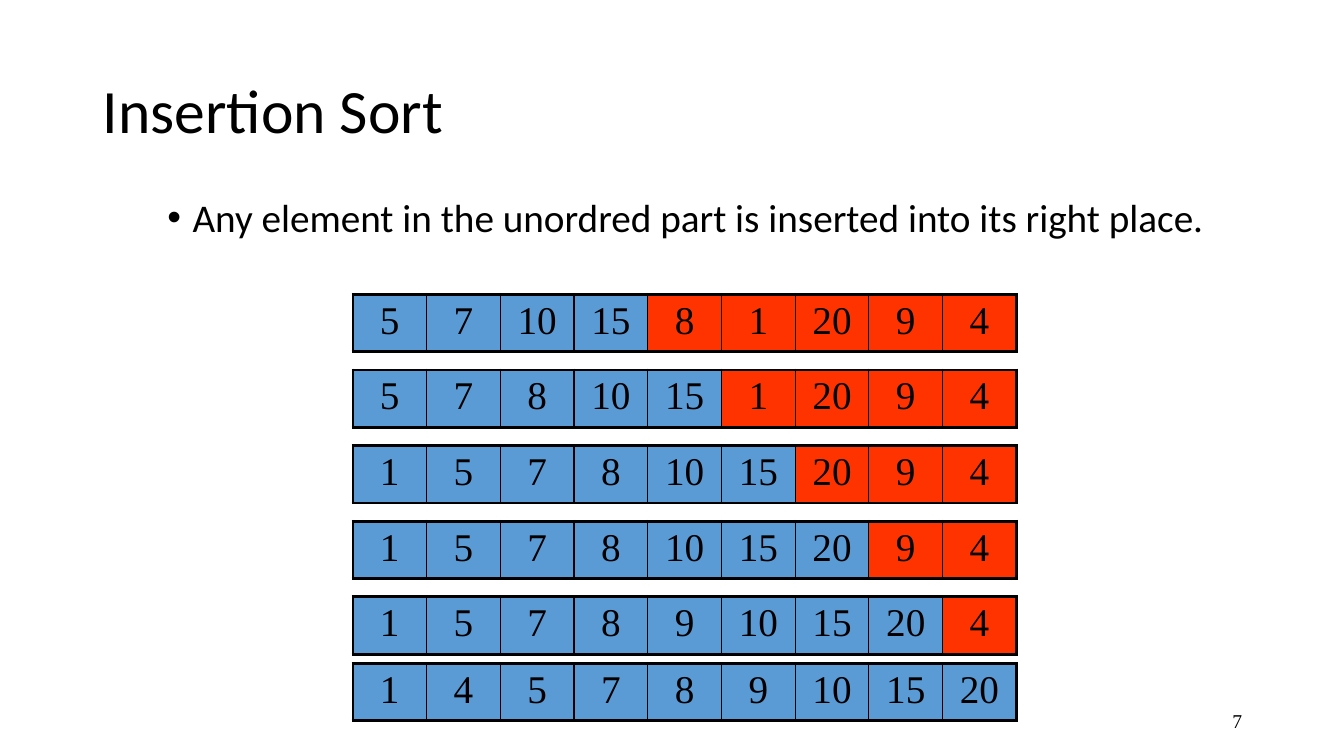
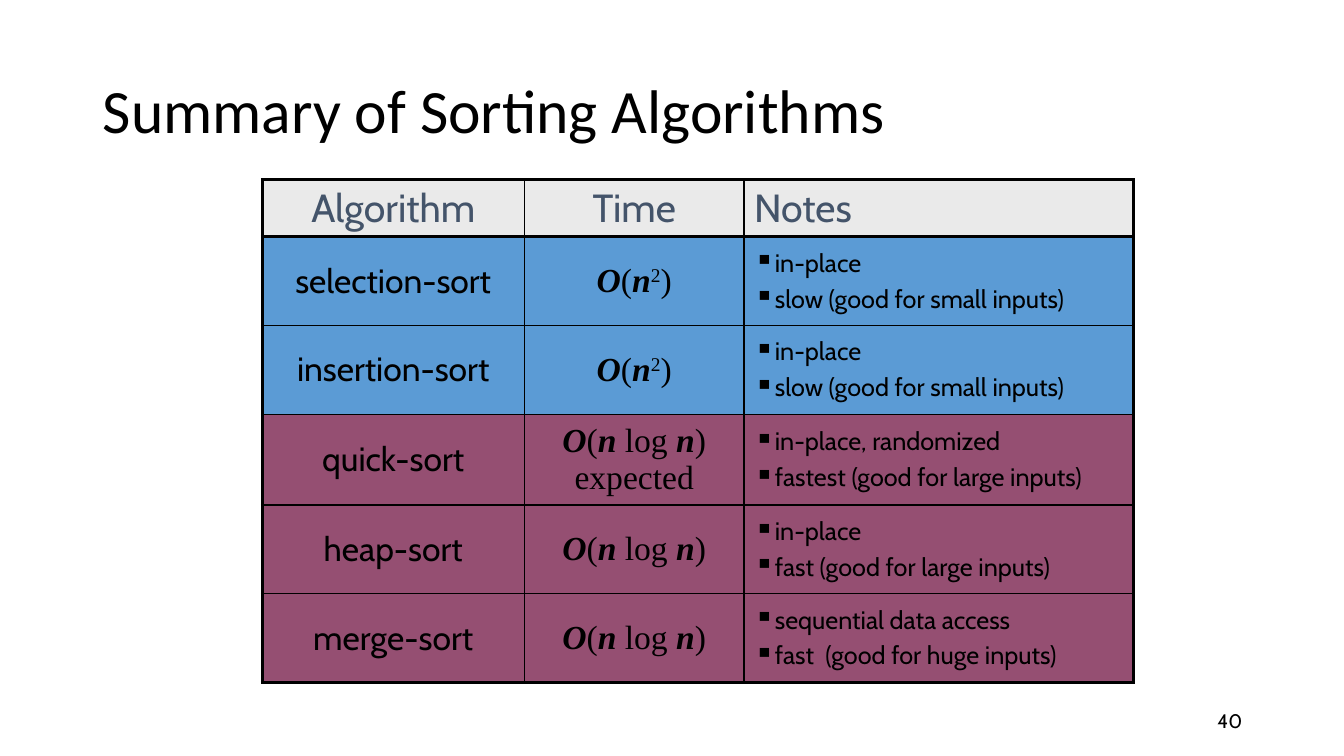
import itertools
from dataclasses import dataclass
from typing import NamedTuple

import lxml.etree
import pptx
import pptx.dml.color
import pptx.enum.text
import pptx.oxml.ns
import pptx.presentation
import pptx.shapes.base
import pptx.slide
import pptx.table
import pptx.text.text
import pptx.util

Inches = pptx.util.Inches
Pt = pptx.util.Pt
Align = pptx.enum.text.PP_ALIGN
Anchor = pptx.enum.text.MSO_ANCHOR

COLORS = {
    "ink": "000000",
    "heading": "44546A",
    "header": "EAEAEA",
    "blue": "5B9BD5",
    "red": "FF3300",
    "plum": "954F72",
}
SANS, SERIF, LABEL = "Calibri", "Times New Roman", "Cabin"
THIN, THICK = 1, 2.25
TITLE_ONLY, TITLE_AND_BODY = 5, 1


class Box(NamedTuple):
    left: float
    top: float
    width: float
    height: float


class Term(NamedTuple):
    text: str
    symbol: bool = False
    raised: bool = False


@dataclass(frozen=True)
class Algorithm:
    name: str
    time: tuple[Term, ...]
    notes: tuple[str, ...]
    fill: str


TITLE_BOX = Box(0.92, 0.4, 11.5, 1.45)
BODY_BOX = Box(1.56, 1.92, 11.11, 0.7)
NUMBER_BOX = Box(9.42, 6.95, 3, 0.4)

START = (5, 7, 10, 15, 8, 1, 20, 9, 4)
FIRST_SORTED = 4
STEP_TOPS = (2.92, 3.67, 4.42, 5.17, 5.92, 6.58)
STEP_LEFT, STEP_WIDTH, STEP_HEIGHT = 3.5, 6.58, 0.57

BIG_O = (Term("O", symbol=True), Term("("), Term("n", symbol=True))
QUADRATIC = (*BIG_O, Term("2", raised=True), Term(")"))
LINEARITHMIC = (*BIG_O, Term(" log "), Term("n", symbol=True), Term(")"))

SUMMARY_LEFT, SUMMARY_TOP = 2.6, 1.78
SUMMARY_COLUMNS = (2.6, 2.18, 3.86)
SUMMARY_ROWS = (0.57, 0.88, 0.88, 0.9, 0.88, 0.88)
HEADINGS = (("Algorithm", Align.CENTER), ("Time", Align.CENTER), ("Notes", Align.LEFT))
ALGORITHMS = (
    Algorithm("selection-sort", QUADRATIC,
              ("in-place", "slow (good for small inputs)"), "blue"),
    Algorithm("insertion-sort", QUADRATIC,
              ("in-place", "slow (good for small inputs)"), "blue"),
    Algorithm("quick-sort", (*LINEARITHMIC, Term("\n"), Term("expected")),
              ("in-place, randomized", "fastest (good for large inputs)"), "plum"),
    Algorithm("heap-sort", LINEARITHMIC,
              ("in-place", "fast (good for large inputs)"), "plum"),
    Algorithm("merge-sort", LINEARITHMIC,
              ("sequential data access", "fast  (good for huge inputs)"), "plum"),
)


def add_child(parent, tag: str, **attributes: str):
    child = lxml.etree.SubElement(parent, pptx.oxml.ns.qn(tag))
    for key, value in attributes.items():
        child.set(key, value)
    return child


def write(paragraph: pptx.text.text._Paragraph, text: str, *, size: float, font: str,
          color: str = "ink", bold: bool = False, italic: bool = False,
          raised: bool = False) -> None:
    if text == "\n":
        paragraph.add_line_break()
        return
    run = paragraph.add_run()
    run.text = text
    run.font.size = Pt(size)
    run.font.name = font
    run.font.bold = bold
    run.font.italic = italic
    run.font.color.rgb = pptx.dml.color.RGBColor.from_string(COLORS[color])
    if raised:
        run._r.get_or_add_rPr().set("baseline", "30000")


def add_bullet(paragraph: pptx.text.text._Paragraph, mark: str, indent: float,
               percent: int = 100) -> None:
    properties = paragraph._p.get_or_add_pPr()
    properties.set("marL", str(Inches(indent)))
    properties.set("indent", str(-Inches(indent)))
    bullet_color = add_child(properties, "a:buClr")
    add_child(bullet_color, "a:srgbClr", val=COLORS["ink"])
    add_child(properties, "a:buSzPct", val=str(percent * 1000))
    add_child(properties, "a:buChar", char=mark)


def format_cell_paragraph(paragraph: pptx.text.text._Paragraph, align: Align) -> None:
    paragraph.alignment = align
    spacing = add_child(paragraph._p.get_or_add_pPr(), "a:spcBef")
    add_child(spacing, "a:spcPct", val="20000")


def place(shape: pptx.shapes.base.BaseShape, box: Box) -> None:
    shape.left, shape.top, shape.width, shape.height = map(Inches, box)


def fill_cell(cell: pptx.table._Cell, color: str) -> None:
    cell.fill.solid()
    cell.fill.fore_color.rgb = pptx.dml.color.RGBColor.from_string(COLORS[color])


def add_grid(slide: pptx.slide.Slide, left: float, top: float,
             columns: tuple[float, ...], rows: tuple[float, ...]) -> pptx.table.Table:
    frame = slide.shapes.add_table(len(rows), len(columns), Inches(left), Inches(top),
                                   Inches(sum(columns)), Inches(sum(rows)))
    grid = frame.table
    grid.first_row = grid.horz_banding = False
    for column, width in zip(grid.columns, columns):
        column.width = Inches(width)
    for row, height in zip(grid.rows, rows):
        row.height = Inches(height)
    last_row, last_column = len(rows) - 1, len(columns) - 1
    for r, c in itertools.product(range(len(rows)), range(len(columns))):
        thick_sides = {"L": c == 0, "R": c == last_column,
                       "T": r <= 1, "B": r in (0, last_row)}
        properties = grid.cell(r, c)._tc.get_or_add_tcPr()
        for side, thick in thick_sides.items():
            border = add_child(properties, f"a:ln{side}",
                               w=str(Pt(THICK if thick else THIN)))
            solid = add_child(border, "a:solidFill")
            add_child(solid, "a:srgbClr", val=COLORS["ink"])
    return grid


def add_titled_slide(deck: pptx.presentation.Presentation, layout: int, title: str,
                     number: str, number_font: str) -> pptx.slide.Slide:
    slide = deck.slides.add_slide(deck.slide_layouts[layout])
    heading = slide.shapes.title
    place(heading, TITLE_BOX)
    heading.text_frame.auto_size = pptx.enum.text.MSO_AUTO_SIZE.NONE
    heading.text_frame.vertical_anchor = Anchor.MIDDLE
    paragraph = heading.text_frame.paragraphs[0]
    paragraph.alignment = Align.LEFT
    paragraph.line_spacing = 0.9
    write(paragraph, title, size=44, font=SANS)

    page_number = slide.shapes.add_textbox(*map(Inches, NUMBER_BOX)).text_frame
    page_number.word_wrap = True
    page_number.vertical_anchor = Anchor.MIDDLE
    page_number.paragraphs[0].alignment = Align.RIGHT
    write(page_number.paragraphs[0], number, size=14, font=number_font)
    return slide


def add_step(slide: pptx.slide.Slide, top: float, sorted_count: int) -> None:
    values = sorted(START[:sorted_count]) + list(START[sorted_count:])
    columns = (STEP_WIDTH / len(values),) * len(values)
    grid = add_grid(slide, STEP_LEFT, top, columns, (STEP_HEIGHT,))
    for index, value in enumerate(values):
        cell = grid.cell(0, index)
        fill_cell(cell, "blue" if index < sorted_count else "red")
        paragraph = cell.text_frame.paragraphs[0]
        format_cell_paragraph(paragraph, Align.CENTER)
        write(paragraph, str(value), size=28, font=SERIF)


def build_insertion_sort(deck: pptx.presentation.Presentation) -> None:
    slide = add_titled_slide(deck, TITLE_AND_BODY, "Insertion Sort", "7", SERIF)
    body = slide.placeholders[1]
    place(body, BODY_BOX)
    body.text_frame.auto_size = pptx.enum.text.MSO_AUTO_SIZE.NONE
    statement = body.text_frame.paragraphs[0]
    statement.line_spacing = 0.9
    statement.space_before = Pt(10)
    add_bullet(statement, "•", 0.25)
    write(statement, "Any element in the unordred part is inserted into its right place.",
          size=28, font=SANS)
    for sorted_count, top in enumerate(STEP_TOPS, start=FIRST_SORTED):
        add_step(slide, top, sorted_count)


def build_summary(deck: pptx.presentation.Presentation) -> None:
    slide = add_titled_slide(deck, TITLE_ONLY, "Summary of Sorting Algorithms", "40", LABEL)
    grid = add_grid(slide, SUMMARY_LEFT, SUMMARY_TOP, SUMMARY_COLUMNS, SUMMARY_ROWS)
    fills = ("header", *(algorithm.fill for algorithm in ALGORITHMS))
    for row, fill in zip(grid.rows, fills):
        for cell in row.cells:
            cell.vertical_anchor = Anchor.MIDDLE
            fill_cell(cell, fill)

    for column, (heading, align) in enumerate(HEADINGS):
        paragraph = grid.cell(0, column).text_frame.paragraphs[0]
        format_cell_paragraph(paragraph, align)
        write(paragraph, heading, size=28, font=LABEL, color="heading")

    for row, algorithm in enumerate(ALGORITHMS, start=1):
        name, time = (grid.cell(row, c).text_frame.paragraphs[0] for c in (0, 1))
        format_cell_paragraph(name, Align.CENTER)
        write(name, algorithm.name, size=24, font=LABEL)
        format_cell_paragraph(time, Align.CENTER)
        for term in algorithm.time:
            write(time, term.text, size=24, font=SERIF, bold=term.symbol,
                  italic=term.symbol, raised=term.raised)
        notes = grid.cell(row, 2).text_frame
        for index, note in enumerate(algorithm.notes):
            paragraph = notes.add_paragraph() if index else notes.paragraphs[0]
            format_cell_paragraph(paragraph, Align.LEFT)
            add_bullet(paragraph, "▪", 0.15, percent=110)
            write(paragraph, note, size=18, font=LABEL)


def main() -> None:
    deck = pptx.Presentation()
    deck.slide_width, deck.slide_height = Inches(13.33), Inches(7.5)
    build_insertion_sort(deck)
    build_summary(deck)
    deck.save("out.pptx")


if __name__ == "__main__":
    main()
